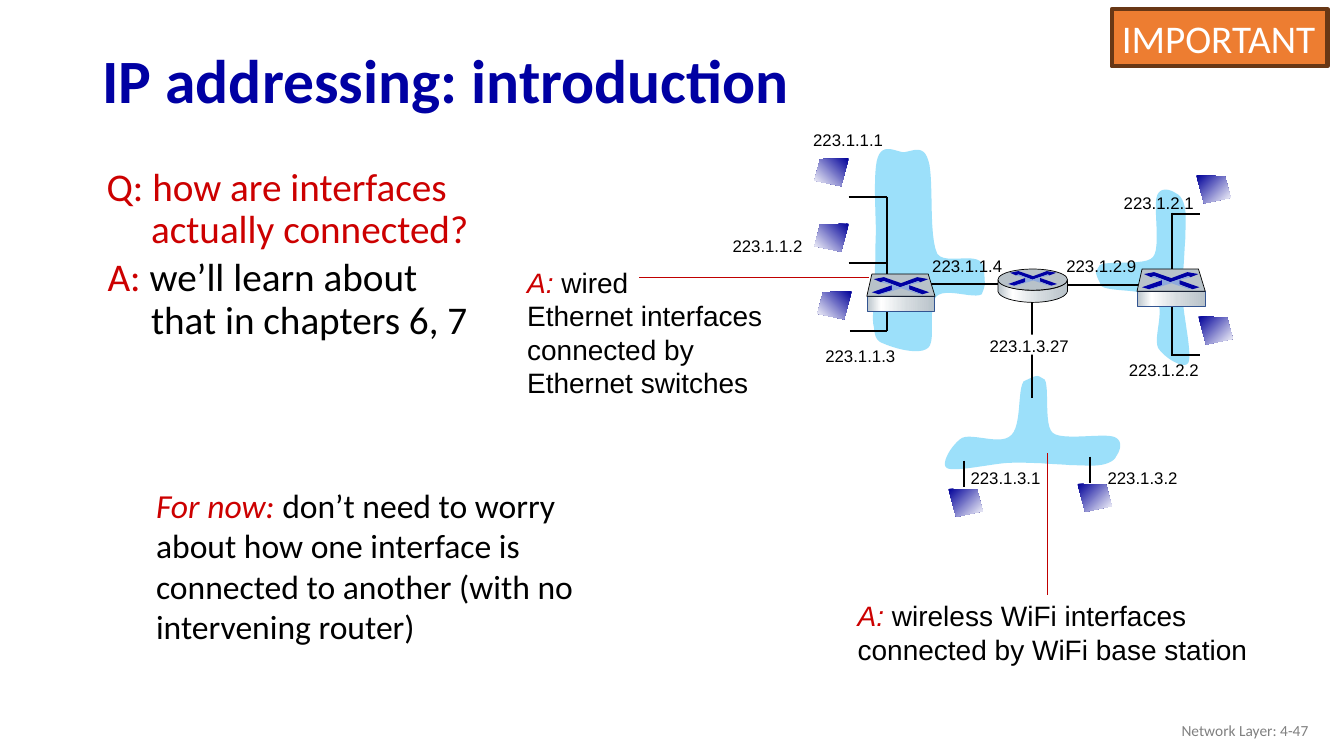
from lxml.etree import SubElement
from pptx import Presentation
from pptx.dml.color import RGBColor
from pptx.enum.shapes import MSO_CONNECTOR, MSO_SHAPE
from pptx.enum.text import MSO_ANCHOR, PP_ALIGN
from pptx.oxml.ns import qn
from pptx.util import Pt

NAVY, RED, BLACK, WHITE = "0000A3", "CC0000", "000000", "FFFFFF"
SKY, STEEL, PALE = "9CE0FA", "B8C2C9", "8FAADC"
METAL = [(0, STEEL), (21, WHITE), (60, "D6DCE0"), (100, STEEL)]
SCREEN = [(0, "000099"), (100, WHITE)]

# Curved outlines: a start point, then two control points and an end point per curve
LAN_CLOUD = [
    (702.7, 191.5), (701.3, 177.8), (676.1, 190.1), (669.6, 181.4),
    (663.1, 168.5), (667.4, 126.7), (663.1, 114.5), (659.5, 102.2), (650.9, 108.7), (645.1, 108.7),
    (639.4, 108), (630.7, 102.2), (627.1, 112.3), (623.5, 121.7), (625.7, 153.4), (625.7, 166.3),
    (625, 179.3), (625.7, 182.9), (625, 190.8), (625, 198.7), (624.2, 205.9), (624.2, 213.1),
    (624.2, 220.3), (622.8, 228.2), (624.2, 233.3), (625, 239), (625, 243.4), (631.4, 245.5),
    (637.9, 248.4), (656.6, 254.2), (663.1, 248.4), (668.9, 243.4), (662.4, 218.2), (668.9, 211.7),
    (675.4, 205.2), (695.5, 213.8), (701.3, 210.2), (703.4, 204.5), (704.2, 205.2), (702.7, 191.5)]
T_CLOUD = [
    (-29.9, 6.5), (-23.4, 10.8), (1.1, 7.9), (8.3, 15.1),
    (16.2, 22.3), (6.8, 42.5), (10.4, 50.4), (14.8, 57.6), (29.2, 66.2), (32, 61.2),
    (34.9, 56.2), (29.2, 30.2), (28.4, 19.4), (27.7, 8.6), (28.4, 2.9), (28.4, -5),
    (29.2, -13), (29.2, -20.2), (29.9, -27.4), (29.9, -34.6), (30.6, -42.5), (29.9, -47.5),
    (29.2, -53.3), (27, -58.3), (23.4, -59.8), (20.5, -61.9), (12.6, -65.5), (9.7, -58.3),
    (6.8, -50.4), (12.6, -20.9), (6.8, -14.4), (1.8, -7.9), (-26.3, -12.2), (-31.3, -8.6),
    (-34.2, -2.9), (-35.6, -5), (-29.9, 6.5)]
ROUTER_SIDE = [
    (49.7, 0), (49.7, 2.6), (49.7, 5.3), (49.7, 7.9), (48.2, 13.7), (33.8, 15.8), (25.2, 15.8),
    (16.6, 15.8), (1.4, 13.7), (0, 7.9), (0, 6.5), (0, 2.2), (0, 0),
    (2.2, 5), (16.6, 7.2), (25.2, 7.2), (33.1, 7.2), (47.5, 5.8), (49.7, 0)]

# Crossed arrows on the top of a switch or router
ARROWS = [
    (NAVY, [(36, 2.2), (43.9, 3.6), (38.2, 5.8), (36.7, 5), (23.8, 9.4), (12.2, 5),
            (10.1, 5.8), (5, 3.6), (12.2, 2.2), (24.5, 6.5)]),
    (NAVY, [(30.2, 7.9), (44.6, 13), (39.6, 14.4), (30.2, 10.8)]),
    ("0000A8", [(18, 7.9), (18, 11.5), (8.6, 14.4), (3.6, 13)]),
    (PALE, [(10.1, 5.8), (12.2, 5), (23.8, 9.4), (36.7, 5), (38.2, 5.8), (30.2, 7.9),
            (30.2, 11.5), (39.6, 14.4), (37.4, 14.4), (24.5, 10.1), (10.8, 14.4),
            (8.6, 14.4), (18, 11.5), (18, 7.9)])]


def color(value):
    return RGBColor.from_string(value)


def smooth(pts, steps=12):
    """Points along a chain of cubic curves."""
    out = [pts[0]]
    for i in range(0, len(pts) - 1, 3):
        for k in range(1, steps + 1):
            t = k / steps
            weights = ((1 - t) ** 3, 3 * t * (1 - t) ** 2, 3 * t * t * (1 - t), t ** 3)
            out.append(tuple(sum(w * p[axis] for w, p in zip(weights, pts[i:i + 4]))
                             for axis in (0, 1)))
    return out


class Slide:
    def __init__(self, prs):
        self.shapes = prs.slides.add_slide(prs.slide_layouts[6]).shapes

    def style(self, s, fill, line=None, width=0.5, angle=0):
        s.shadow.inherit = False
        if isinstance(fill, str):
            s.fill.solid()
            s.fill.fore_color.rgb = color(fill)
        else:
            s.fill.gradient()
            s.fill.gradient_angle = angle
            stops = s._element.spPr.find(qn("a:gradFill")).find(qn("a:gsLst"))
            for old in list(stops):
                stops.remove(old)
            for pos, value in fill:
                stop = SubElement(stops, qn("a:gs"), pos=str(pos * 1000))
                SubElement(stop, qn("a:srgbClr"), val=value)
        if line:
            s.line.color.rgb = color(line)
            s.line.width = Pt(width)
        else:
            s.line.fill.background()
        return s

    def shape(self, kind, x, y, w, h, fill, **look):
        return self.style(self.shapes.add_shape(kind, Pt(x), Pt(y), Pt(w), Pt(h)), fill, **look)

    def outline(self, pts, fill, x=0, y=0, scale=1, **look):
        pts = [(Pt(x + px * scale), Pt(y + py * scale)) for px, py in pts]
        fb = self.shapes.build_freeform(*pts[0])
        fb.add_line_segments(pts[1:], close=True)
        return self.style(fb.convert_to_shape(), fill, **look)

    def line(self, x1, y1, x2, y2, value=BLACK, width=1.5):
        s = self.shapes.add_connector(MSO_CONNECTOR.STRAIGHT, Pt(x1), Pt(y1), Pt(x2), Pt(y2))
        s.line.color.rgb = color(value)
        s.line.width = Pt(width)
        SubElement(s._element.spPr, qn("a:effectLst"))

    def put_text(self, s, paragraphs, size, font="Calibri", bold=None, wrap=True,
                 anchor=MSO_ANCHOR.TOP, align=PP_ALIGN.LEFT, spacing=None, hang=0):
        """Each paragraph is a list of (text, colour, italic) runs."""
        tf = s.text_frame
        tf.word_wrap = wrap
        tf.vertical_anchor = anchor
        for i, runs in enumerate(paragraphs):
            p = tf.add_paragraph() if i else tf.paragraphs[0]
            if hang:
                pPr = p._p.get_or_add_pPr()
                pPr.set("marL", str(Pt(hang)))
                pPr.set("indent", str(-Pt(hang)))
            p.alignment = align
            if spacing:
                p.line_spacing = spacing
            p.font.size, p.font.name, p.font.bold = Pt(size), font, bold
            for text, value, italic in runs:
                r = p.add_run()
                r.text = text
                r.font.color.rgb = color(value)
                r.font.italic = italic

    def text(self, x, y, w, h, paragraphs, size, **look):
        self.put_text(self.shapes.add_textbox(Pt(x), Pt(y), Pt(w), Pt(h)),
                      paragraphs, size, **look)

    def host(self, x, y, flip=False):
        pts = [(0, 0), (20.5, 0.7), (24.5, 16), (5.5, 20)]
        if flip:
            pts = [(24.5 - px, py) for px, py in pts]
        self.outline(pts, SCREEN, x, y, angle=225 if flip else 315)

    def arrows(self, x, y, scale=1):
        for fill, pts in ARROWS:
            self.outline(pts, fill, x, y, scale)

    def switch(self, x, y):
        self.shape(MSO_SHAPE.RECTANGLE, x, y + 15.8, 48.5, 10.8, METAL, line="325491")
        self.outline([(0, 15.8), (3.6, 0), (43.9, 0), (48.7, 15.8)], STEEL, x, y, line=BLACK)
        self.arrows(x, y)

    def router(self, x, y):
        self.outline(smooth(ROUTER_SIDE), METAL, x, y + 8, line=BLACK)
        self.shape(MSO_SHAPE.OVAL, x, y, 49.7, 15.1, STEEL, line=BLACK)
        self.arrows(x + 4.4, y - 0.4, 0.85)


def main():
    prs = Presentation()
    prs.slide_width, prs.slide_height = Pt(960), Pt(540)
    s = Slide(prs)

    # Title
    s.text(66.2, 24.5, 828, 70.6, [[("IP addressing: introduction", NAVY, None)]], 44,
           bold=True, anchor=MSO_ANCHOR.MIDDLE, spacing=0.9)

    # Subnet clouds
    s.outline(smooth([(-y, x) for x, y in T_CLOUD]), SKY, 737.6, 302.4)
    s.outline(smooth(T_CLOUD), SKY, 816.8, 198)
    s.outline(smooth(LAN_CLOUD), SKY)

    # Router link to the wireless subnet, then the plates behind two addresses
    s.line(737.3, 215.3, 737.3, 284.4)
    for x, y, w in [(523.4, 170.6, 65.5), (704.2, 239, 67)]:
        s.shape(MSO_SHAPE.RECTANGLE, x, y, w, 14.4, WHITE)

    # Interface addresses
    for address, x, y in [
            ("1.1", 573.8, 89.3), ("1.2", 516.2, 164.9), ("1.3", 582.5, 243.4),
            ("1.4", 658.8, 179.3), ("2.9", 754.6, 179.3), ("2.2", 799.2, 253.4),
            ("2.1", 795.6, 133.9), ("3.2", 784.1, 330.5), ("3.1", 686.2, 330.5),
            ("3.27", 699.8, 236.2)]:
        s.text(x, y, 72 if address == "3.27" else 64.8, 21.6,
               [[("223.1." + address, BLACK, None)]], 12, font="Arial", wrap=False)

    # Hosts
    for x, y in [(581.8, 113), (581.8, 159.8), (583.9, 208.1)]:
        s.host(x, y, flip=True)
    for x, y in [(854.6, 125.3), (856.1, 226.1), (769.7, 345.6), (677.5, 349.2)]:
        s.host(x, y)

    # Cables
    for x1, y1, x2, y2 in [
            (606.2, 140.4, 633.4, 140.4), (606.2, 187.9, 633.4, 187.9),
            (607, 236.2, 633.6, 236.2), (836.6, 152.6, 857.5, 152.6),
            (837.4, 253.4, 857.5, 253.4), (688.3, 329, 688.3, 347.8),
            (778.3, 326.2, 778.3, 344.9), (658.8, 203, 721.4, 203),
            (751.7, 203.8, 828.7, 203.8), (633.6, 140.4, 633.6, 236.2),
            (837.4, 151.9, 837.4, 254.2)]:
        s.line(x1, y1, x2, y2)

    # Question and answer
    s.text(69.1, 115.9, 275, 132.5,
           [[("Q: how are interfaces actually connected?", RED, None)]], 28,
           spacing=0.9, hang=31.7)
    s.text(69.8, 180.7, 275, 84.2,
           [[("A: ", RED, None), ("we’ll learn about that in chapters 6, 7", BLACK, None)]], 28,
           spacing=0.9, hang=31)
    s.text(104.4, 342.7, 340.6, 123.8,
           [[("For now: ", RED, True),
             ("don’t need to worry about how one interface is connected to another "
              "(with no intervening router)", BLACK, None)]], 24)

    # Callouts on the drawing
    s.text(369.4, 185.8, 200.9, 104.4,
           [[("A: ", RED, True), ("wired", BLACK, None)],
            [("Ethernet interfaces connected by Ethernet switches", BLACK, None)]], 20, font="Arial")
    s.line(620.6, 198, 456.5, 198, "C00000", 0.75)
    s.text(605.5, 424.1, 328.3, 55.4,
           [[("A: ", RED, True),
             ("wireless WiFi interfaces connected by WiFi base station", BLACK, None)]],
           20, font="Arial")
    s.line(748.1, 424.8, 748.1, 323.3, "C00000", 1)

    # Router and switches
    s.router(712.8, 192.2)
    s.switch(619.2, 195.8)
    s.switch(812.2, 192.2)

    # Footer and badge
    s.text(725.8, 507.6, 216, 28.8, [[("Network Layer: 4-47", "808080", None)]], 11,
           anchor=MSO_ANCHOR.MIDDLE, align=PP_ALIGN.RIGHT)
    badge = s.shape(MSO_SHAPE.RECTANGLE, 794.2, 6.5, 154.1, 41, "ED7D31", line="683715", width=3)
    s.put_text(badge, [[("IMPORTANT", WHITE, None)]], 28, wrap=False)

    prs.save("out.pptx")


if __name__ == "__main__":
    main()
